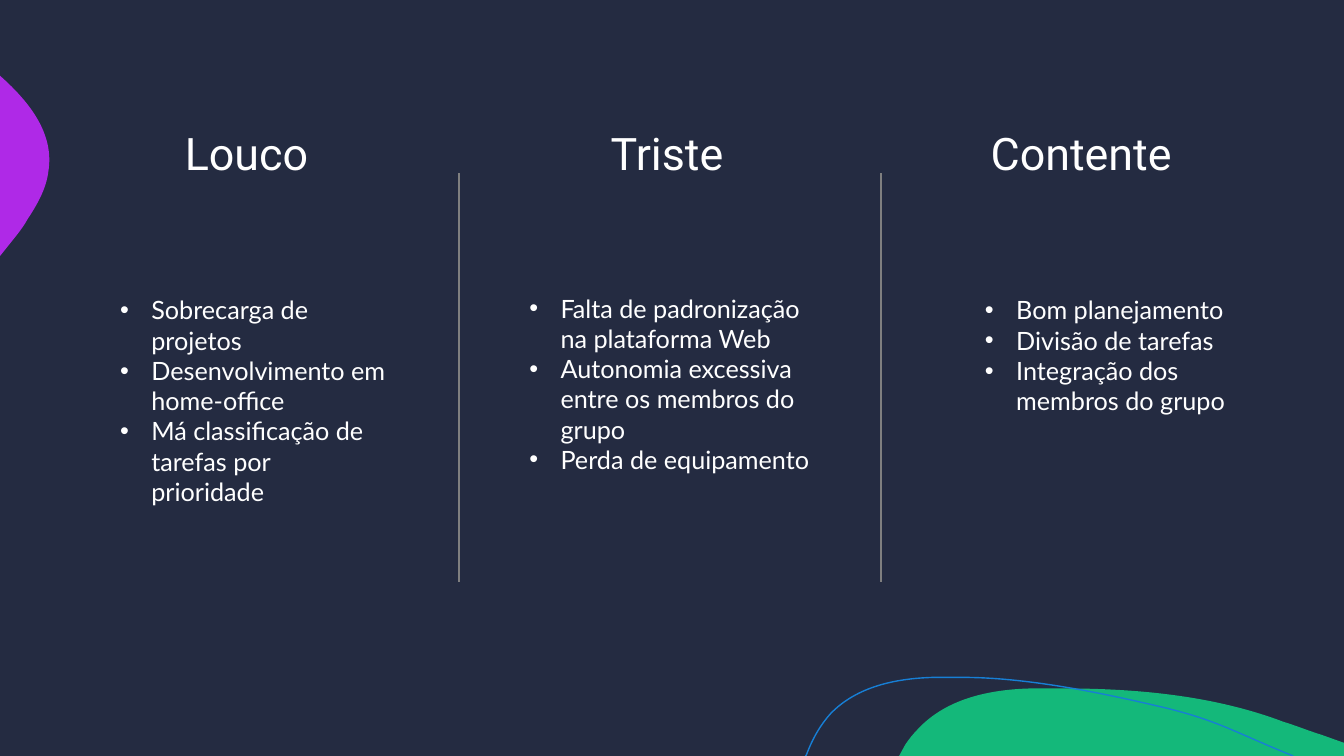
from lxml import etree
from pptx import Presentation
from pptx import util as u
from pptx.dml.color import RGBColor
from pptx.enum import shapes, text
from pptx.oxml import ns

THEME = {
    "back": "242B41", "green": "14B87A", "plum": "AF29E7",
    "blue": "177FD5", "rule": "7F7F7F", "ink": "FFFFFF",
    "head": {"name": "Roboto", "size": u.Pt(32)},
    "body": {"name": "Lato", "size": u.Pt(18)},
}

# Page: a grid of 80 columns by 45 rows of square cells
deck = Presentation()
deck.slide_width, deck.slide_height = u.Inches(40 / 3), u.Inches(7.5)
CELL = deck.slide_width / 80
slide = deck.slides.add_slide(deck.slide_layouts[6])
slide.background.fill.solid()
slide.background.fill.fore_color.rgb = RGBColor.from_string(THEME["back"])


def grid(*cells):
    return [round(c * CELL) for c in cells]


def write(box, lines, font, bullet=None):
    frame = slide.shapes.add_textbox(*grid(*box)).text_frame
    frame.word_wrap = True
    frame.auto_size = text.MSO_AUTO_SIZE.SHAPE_TO_FIT_TEXT
    for n, line in enumerate(lines):
        para = frame.paragraphs[0] if n == 0 else frame.add_paragraph()
        run = para.add_run()
        run.text = line
        for key, val in THEME[font].items():
            setattr(run.font, key, val)
        run.font.color.rgb = RGBColor.from_string(THEME["ink"])
        if bullet:
            prop = para._p.get_or_add_pPr()
            hang = u.Inches(0.31)
            prop.set("marL", str(hang))
            prop.set("indent", str(-hang))
            etree.SubElement(prop, ns.qn("a:buFont")).set("typeface", "Arial")
            etree.SubElement(prop, ns.qn("a:buChar")).set("char", bullet)


# Blobs and wave: two numbers make a line, six make a Bezier curve
BLOBS = [
    ("green", True, [
        (63.24, 40.98), (67.68, 40.98, 72.24, 41.4, 76.38, 42.96),
        (77.16, 43.2, 77.88, 43.5, 78.66, 43.74), (80, 44.22), (80, 45),
        (53.52, 45), (53.88, 44.34),
        (54.12, 43.98, 54.36, 43.68, 54.66, 43.38),
        (56.34, 41.58, 58.92, 41.04, 61.38, 40.98),
        (61.98, 40.98, 62.58, 40.98, 63.24, 40.98)]),
    ("plum", True, [
        (0, 4.5), (0.06, 4.56), (1.8, 6.12, 3.24, 7.98, 2.88, 10.2),
        (2.76, 11.22, 2.22, 12.18, 1.62, 13.08),
        (1.44, 13.44, 1.02, 13.98, 0.48, 14.64), (0, 15.24)]),
    ("blue", False, [
        (47.94, 45), (48, 44.94),
        (48.36, 43.98, 48.84, 43.14, 49.44, 42.48),
        (51, 40.86, 53.34, 40.38, 55.56, 40.32), (57.3, 40.32),
        (61.32, 40.32, 66, 41.34, 69.3, 42.12),
        (72.54, 42.9, 73.56, 43.62, 76.98, 45)]),
]
for tint, solid, segs in BLOBS:
    pen = slide.shapes.build_freeform(*grid(*segs[0]), scale=1.0)
    pen.add_line_segments([grid(*seg[-2:]) for seg in segs[1:]], close=solid)
    blob = pen.convert_to_shape()
    # Bend the straight steps that have control points
    steps = list(blob._element.iter(ns.qn("a:lnTo")))
    for step, seg in zip(steps, segs[1:]):
        if len(seg) == 6:
            step.tag = ns.qn("a:cubicBezTo")
            for n, (x, y) in enumerate((seg[:2], seg[2:4])):
                knot = etree.Element(ns.qn("a:pt"))
                left, top = grid(x, y)
                knot.set("x", str(left - blob.left))
                knot.set("y", str(top - blob.top))
                step.insert(n, knot)
    blob.shadow.inherit = False
    color = RGBColor.from_string(THEME[tint])
    if solid:
        blob.fill.solid()
        blob.fill.fore_color.rgb = color
        blob.line.fill.background()
    else:
        blob.fill.background()
        blob.line.color.rgb = color
        blob.line.width = u.Pt(1)

# Rules between the columns
for x in (27.33, 52.44):
    rule = slide.shapes.add_connector(
        shapes.MSO_CONNECTOR.STRAIGHT, *grid(x, 10.32, x, 34.65))
    rule.line.color.rgb = RGBColor.from_string(THEME["rule"])
    rule.line.width = u.Pt(1.5)
    etree.SubElement(rule._element.spPr, ns.qn("a:effectLst"))

# Columns: heading with its left and width, list with its box
MOODS = [
    ("Louco", 10.41, 16.44, (6.56, 17.25, 17.16, 16.98),
     ["Sobrecarga de projetos", "Desenvolvimento em home-office",
      "Má classificação de tarefas por prioridade"]),
    ("Triste", 35.76, 10.8, (30.92, 17.14, 18.18, 16.98),
     ["Falta de padronização na plataforma Web",
      "Autonomia excessiva entre os membros do grupo",
      "Perda de equipamento"]),
    ("Contente", 58.38, 13.44, (58.04, 17.25, 17.34, 11.52),
     ["Bom planejamento", "Divisão de tarefas",
      "Integração dos membros do grupo"]),
]
for mood, left, wide, box, notes in MOODS:
    write((left, 7.2, wide, 3.84), [mood], "head")
    write(box, notes, "body", "•")

deck.save("out.pptx")
